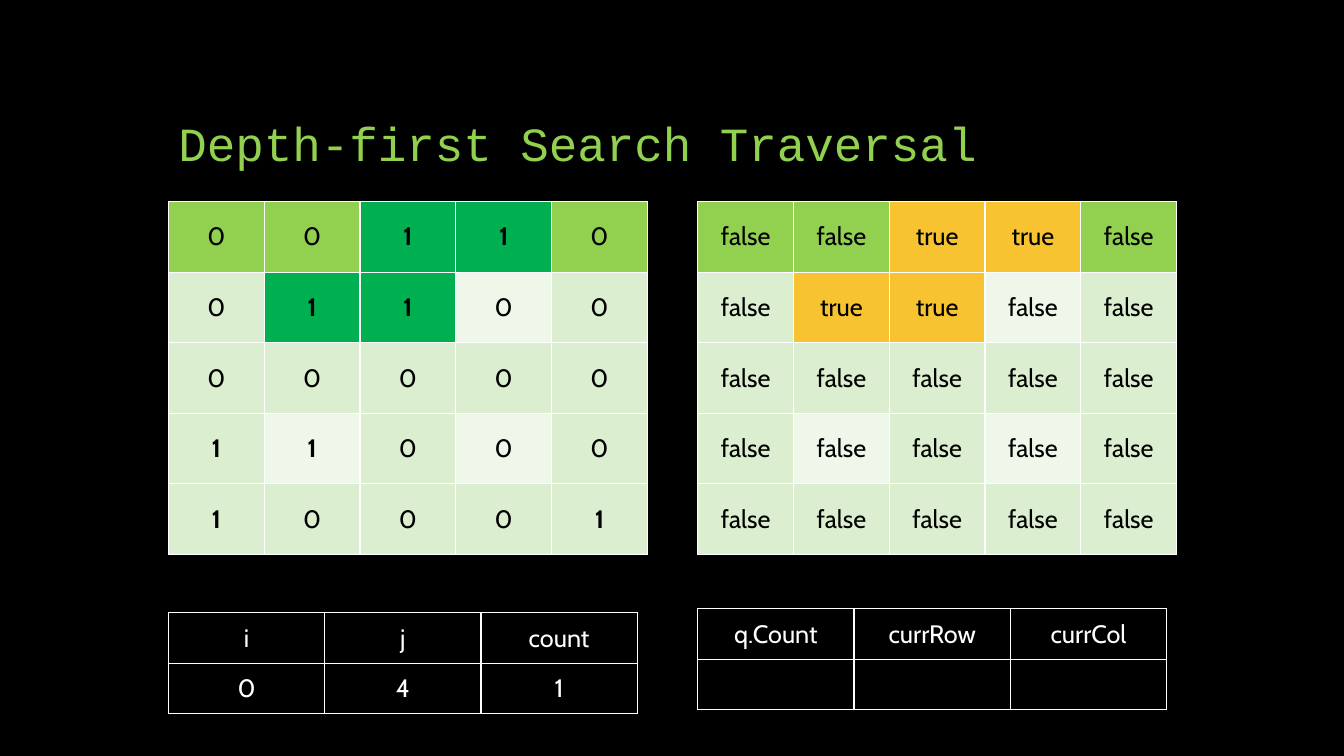
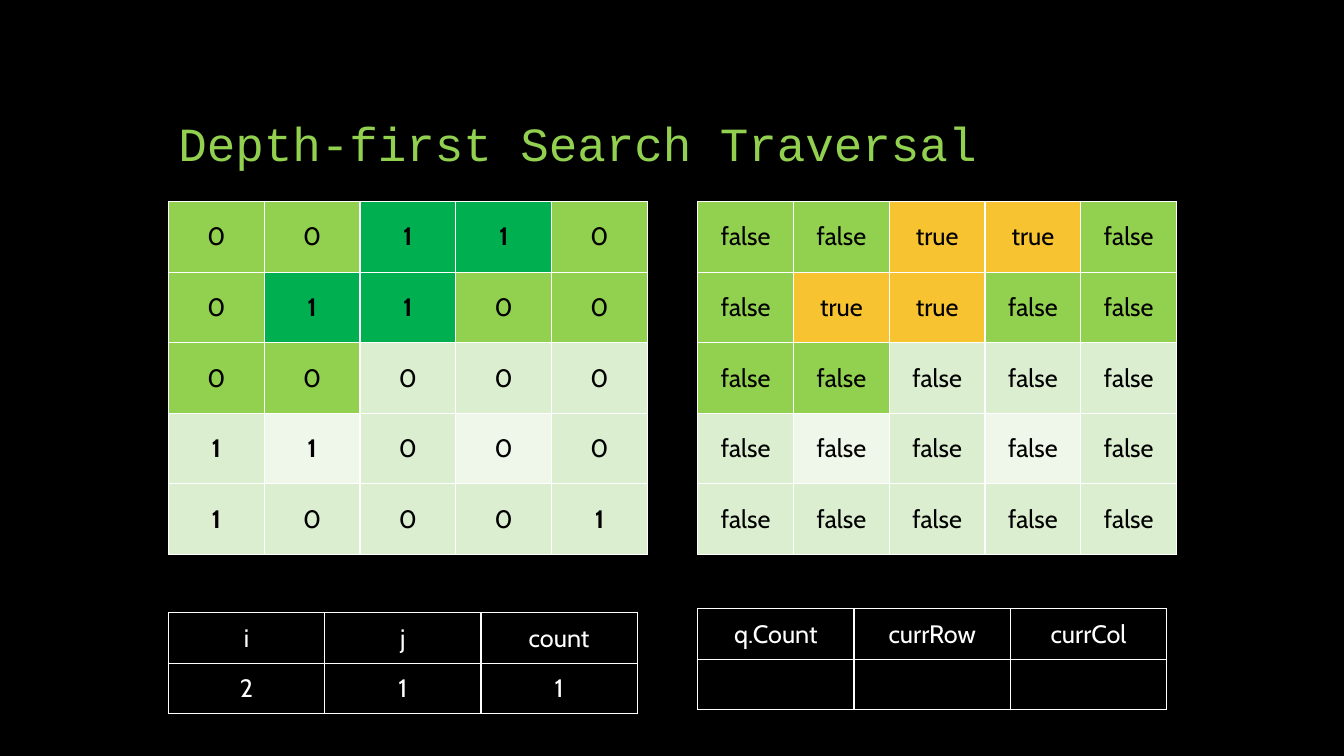
from dataclasses import dataclass

from lxml.etree import SubElement
from pptx import Presentation
from pptx.dml.color import RGBColor as Color
from pptx.enum.text import MSO_ANCHOR as Anchor, PP_ALIGN as Align
from pptx.oxml.ns import qn
from pptx.util import Inches, Pt

# Content
TITLE = "Depth-first Search Traversal"
GRID = ["00110", "01100", "00000", "11000", "10001"]
VISITED = {(0, 2), (0, 3), (1, 1), (1, 2)}
STEPS = [
    {"i": 0, "j": 4, "count": 1},
    {"i": 2, "j": 1, "count": 1},
]
QUEUE_HEADINGS = ["q.Count", "currRow", "currCol"]


@dataclass(frozen=True)
class Theme:
    background: str = "000000"
    title: str = "92D050"
    scanned: str = "92D050"
    island: str = "00B050"
    marked: str = "F7C331"
    tint: str = "DCEED0"
    pale: str = "EEF7E9"
    dark_text: str = "000000"
    light_text: str = "FFFFFF"
    border: str = "FFFFFF"
    border_width: float = 1
    title_font: str = "Courier New"
    body_font: str = "Cabin"
    title_size: int = 34
    body_size: int = 18


THEME = Theme()

# Layout, in inches: two columns of tables under the title
WIDTH, HEIGHT = 13.33, 7.5
LEFT, RIGHT = 1.67, 6.92
TITLE_BOX = (LEFT, 0.5, 10, 1.25)
GRID_TOP, CELL_WIDTH, CELL_HEIGHT = 2, 0.95, 0.7
STATE_TOP, QUEUE_TOP = 6.08, 6.04
STATE_WIDTH, STATE_HEIGHT = 1.55, 0.5


def style_run(run, size, font, color, bold=False):
    formats = {"size": Pt(size), "name": font, "bold": bold}
    for name, value in formats.items():
        setattr(run.font, name, value)
    run.font.color.rgb = Color.from_string(color)


def add_title(slide):
    shape = slide.shapes.add_textbox(*map(Inches, TITLE_BOX))
    frame = shape.text_frame
    frame.word_wrap = True
    frame.vertical_anchor = Anchor.BOTTOM
    paragraph = frame.paragraphs[0]
    paragraph.line_spacing = 0.9
    run = paragraph.add_run()
    run.text = TITLE
    style_run(run, THEME.title_size, THEME.title_font, THEME.title)


def add_borders(cell):
    properties = cell._tc.get_or_add_tcPr()
    for side in ("lnL", "lnR", "lnT", "lnB"):
        line = SubElement(properties, qn(f"a:{side}"), w=str(Pt(THEME.border_width)))
        fill = SubElement(line, qn("a:solidFill"))
        SubElement(fill, qn("a:srgbClr"), val=THEME.border)


def fill_cell(cell, text, color, fill=None, bold=False):
    add_borders(cell)
    cell.vertical_anchor = Anchor.MIDDLE
    if fill:
        cell.fill.solid()
        cell.fill.fore_color.rgb = Color.from_string(fill)
    else:
        cell.fill.background()
    paragraph = cell.text_frame.paragraphs[0]
    paragraph.alignment = Align.CENTER
    if text:
        run = paragraph.add_run()
        run.text = text
        style_run(run, THEME.body_size, THEME.body_font, color, bold)


def add_table(slide, left, top, cell_width, cell_height, rows):
    """Each cell is a dict of the values that fill_cell takes."""
    row_count, column_count = len(rows), len(rows[0])
    box = (left, top, cell_width * column_count, cell_height * row_count)
    table = slide.shapes.add_table(row_count, column_count, *map(Inches, box)).table
    for flag in ("first_row", "horz_banding"):
        setattr(table, flag, False)
    for column in table.columns:
        column.width = Inches(cell_width)
    for row_index, row in enumerate(rows):
        table.rows[row_index].height = Inches(cell_height)
        for column_index, content in enumerate(row):
            fill_cell(table.cell(row_index, column_index), **content)


def grid_fill(row, column, step, visited_color):
    if (row, column) in VISITED:
        return visited_color
    if (row, column) <= (step["i"], step["j"]):
        return THEME.scanned
    return THEME.pale if row % 2 and column % 2 else THEME.tint


def grid_rows(step, visited_color, show_visits):
    def content(row, column, value):
        visit = str((row, column) in VISITED).lower()
        return {
            "text": visit if show_visits else value,
            "color": THEME.dark_text,
            "fill": grid_fill(row, column, step, visited_color),
            "bold": value == "1" and not show_visits,
        }

    return [[content(row, column, value) for column, value in enumerate(values)]
            for row, values in enumerate(GRID)]


def plain_rows(*rows):
    return [[{"text": str(text), "color": THEME.light_text} for text in row]
            for row in rows]


def add_step(presentation, step):
    slide = presentation.slides.add_slide(presentation.slide_layouts[6])
    add_title(slide)
    # Land grid and visited flags
    for left, color, show_visits in ((LEFT, THEME.island, False),
                                     (RIGHT, THEME.marked, True)):
        add_table(slide, left, GRID_TOP, CELL_WIDTH, CELL_HEIGHT,
                  grid_rows(step, color, show_visits))
    # Loop variables and queue state
    for left, top, rows in (
        (LEFT, STATE_TOP, plain_rows(step.keys(), step.values())),
        (RIGHT, QUEUE_TOP, plain_rows(QUEUE_HEADINGS, [""] * len(QUEUE_HEADINGS))),
    ):
        add_table(slide, left, top, STATE_WIDTH, STATE_HEIGHT, rows)


def main():
    presentation = Presentation()
    presentation.slide_width, presentation.slide_height = Inches(WIDTH), Inches(HEIGHT)
    # Shared background
    background = presentation.slide_master.background.fill
    background.solid()
    background.fore_color.rgb = Color.from_string(THEME.background)
    for step in STEPS:
        add_step(presentation, step)
    presentation.save("out.pptx")


if __name__ == "__main__":
    main()
